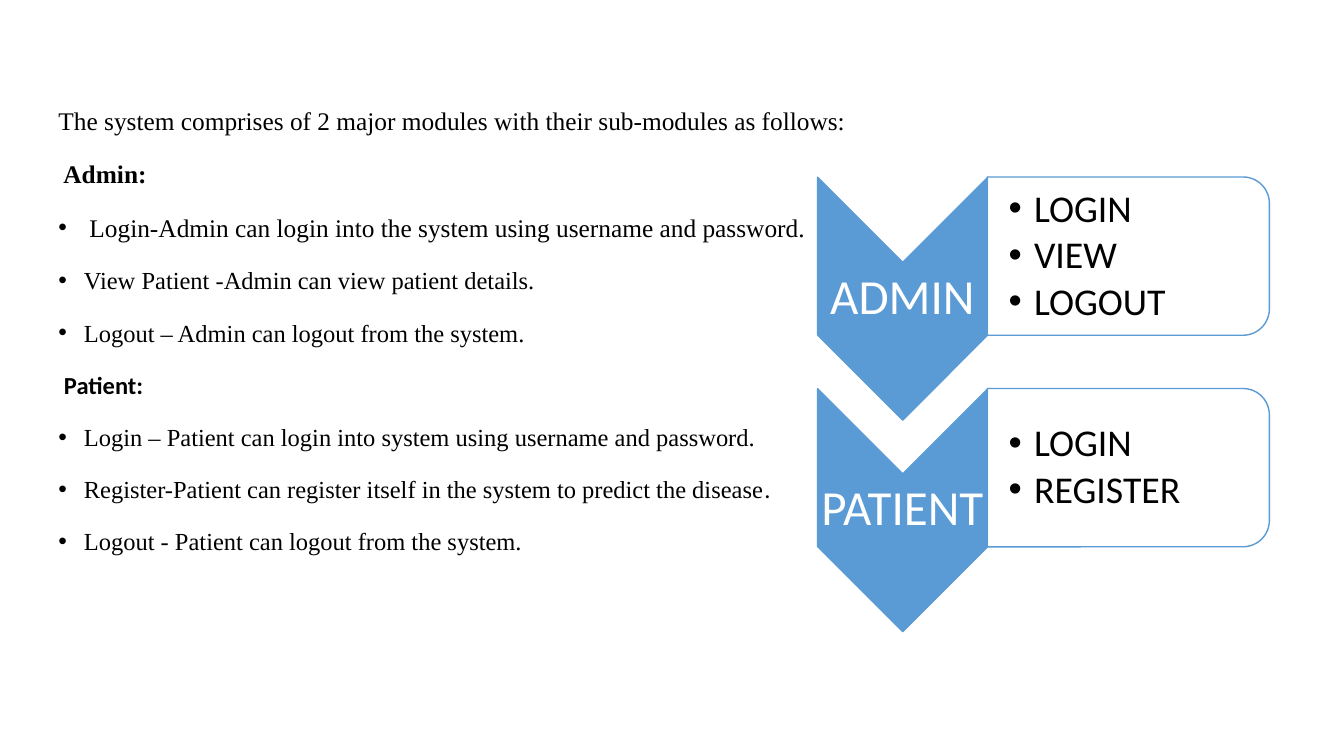
from dataclasses import dataclass

from lxml.etree import SubElement
from pptx import Presentation
from pptx.dml.color import RGBColor
from pptx.enum.shapes import MSO_SHAPE
from pptx.enum.text import MSO_ANCHOR, MSO_AUTO_SIZE, PP_ALIGN
from pptx.oxml.ns import qn
from pptx.util import Cm, Pt


@dataclass(frozen=True)
class Theme:
    """Colours, fonts and type sizes of the slide."""
    blue: RGBColor = RGBColor(0x5B, 0x9B, 0xD5)
    white: RGBColor = RGBColor(255, 255, 255)
    black: RGBColor = RGBColor(0, 0, 0)
    serif: str = "Times New Roman"
    sans: str = "Calibri"
    lead: float = 18.1
    body: float = 17.5
    item: float = 27
    label: float = 35


THEME = Theme()
LEAD = {"name": THEME.serif, "size": Pt(THEME.lead)}
BODY = {"name": THEME.serif, "size": Pt(THEME.body)}
SANS = {"name": THEME.sans, "size": Pt(THEME.body)}
LABEL = {"name": THEME.sans, "size": Pt(THEME.label)}
ITEM = {"name": THEME.sans, "size": Pt(THEME.item)}
BODY_LAYOUT = {"alignment": PP_ALIGN.JUSTIFY, "line_spacing": 1.3,
               "space_before": Pt(10), "space_after": Pt(0)}
LABEL_LAYOUT = {"alignment": PP_ALIGN.CENTER, "line_spacing": 0.9}
ITEM_LAYOUT = {"level": 1, "alignment": PP_ALIGN.LEFT, "line_spacing": 0.9,
               "space_before": Pt(0), "space_after": Pt(4)}

DESCRIPTION = [
    (False, [("The system comprises of 2 major modules with their sub-modules as follows:", LEAD)]),
    (False, [(" Admin:", LEAD | {"bold": True})]),
    (True, [(" ", SANS),
            ("Login-Admin can login into the system using username and password.", LEAD)]),
    (True, [("View Patient -Admin can view patient details.", BODY)]),
    (True, [("Logout – Admin can logout from the system.", BODY)]),
    (False, [(" Patient:", SANS | {"bold": True})]),
    (True, [("Login – Patient can login into system using username and password.", BODY)]),
    (True, [("Register-Patient can register itself in the system to predict the disease", BODY),
            (".", SANS)]),
    (True, [("Logout - Patient can logout from the system.", BODY)]),
]
MODULES = [("ADMIN", ["LOGIN", "VIEW", "LOGOUT"]), ("PATIENT", ["LOGIN", "REGISTER"])]
MODULE_STEP = 5.33


def apply_format(target, values):
    """Set each named attribute on the target."""
    for name, value in values.items():
        setattr(target, name, value)


def set_bullet(paragraph, bulleted):
    """Give the paragraph a hanging bullet, or neither bullet nor indent."""
    properties = paragraph._p.get_or_add_pPr()
    indent = Cm(0.64) if bulleted else 0
    properties.set("marL", str(indent))
    properties.set("indent", str(-indent))
    if bulleted:
        SubElement(properties, qn("a:buFont")).set("typeface", "Arial")
        SubElement(properties, qn("a:buChar")).set("char", "•")
    else:
        SubElement(properties, qn("a:buNone"))


def write_paragraphs(frame, rows, layout, color):
    """Fill the frame with rows of a bullet flag and formatted runs."""
    for index, (bulleted, runs) in enumerate(rows):
        paragraph = frame.add_paragraph() if index else frame.paragraphs[0]
        apply_format(paragraph, layout)
        set_bullet(paragraph, bulleted)
        for text, font in runs:
            run = paragraph.add_run()
            run.text = text
            apply_format(run.font, font)
            run.font.color.rgb = color


def add_turned_shape(shapes, kind, box, fill):
    """Add a blue-edged shape turned a quarter clockwise."""
    shape = shapes.add_shape(kind, *map(Cm, box))
    shape.rotation = 90
    shape.shadow.inherit = False
    shape.fill.solid()
    shape.fill.fore_color.rgb = fill
    shape.line.color.rgb = THEME.blue
    shape.line.width = Pt(1)
    return shape


def add_text(shapes, box, left_margin, rows, layout, color):
    """Add a vertically centred text box with narrow margins."""
    frame = shapes.add_textbox(*map(Cm, box)).text_frame
    apply_format(frame, {
        "word_wrap": True, "vertical_anchor": MSO_ANCHOR.MIDDLE,
        "margin_left": Cm(left_margin), "margin_right": Cm(0.05),
        "margin_top": Cm(0.05), "margin_bottom": Cm(0.05),
    })
    write_paragraphs(frame, rows, layout, color)


def add_module(shapes, offset, name, items):
    """Add one module chevron and the panel of its sub-modules."""
    add_turned_shape(shapes, MSO_SHAPE.CHEVRON, (19.69, 5.38 + offset, 6.12, 4.29), THEME.blue)
    add_text(shapes, (20.6, 6.6 + offset, 4.29, 1.83), 0.05,
             [(False, [(name, LABEL)])], LABEL_LAYOUT, THEME.white)
    panel = add_turned_shape(shapes, MSO_SHAPE.ROUND_2_SAME_RECTANGLE,
                             (26.44, 2.9 + offset, 3.99, 7.11), THEME.white)
    fill_color = panel._element.spPr.find(qn("a:solidFill"))[0]
    SubElement(fill_color, qn("a:alpha")).set("val", "90000")
    add_text(shapes, (24.89, 4.67 + offset, 6.91, 3.58), 0.53,
             [(True, [(item, ITEM)]) for item in items], ITEM_LAYOUT, THEME.black)


def add_description(slide):
    """Place the module description in the body placeholder."""
    body = slide.placeholders[1]
    apply_format(body, {"left": Cm(1.22), "top": Cm(2.29),
                        "width": Cm(29.21), "height": Cm(13.69)})
    apply_format(body.text_frame, {"word_wrap": True, "auto_size": MSO_AUTO_SIZE.NONE,
                                   "vertical_anchor": MSO_ANCHOR.TOP})
    write_paragraphs(body.text_frame, DESCRIPTION, BODY_LAYOUT, THEME.black)


def main():
    """Build and save the slide."""
    presentation = Presentation()
    presentation.slide_width = Cm(33.87)
    presentation.slide_height = Cm(19.05)
    slide = presentation.slides.add_slide(presentation.slide_layouts[1])
    title = slide.shapes.title._element
    title.getparent().remove(title)
    add_description(slide)
    diagram = slide.shapes.add_group_shape()
    for index, (name, items) in enumerate(MODULES):
        add_module(diagram.shapes, index * MODULE_STEP, name, items)
    presentation.save("out.pptx")


if __name__ == "__main__":
    main()
